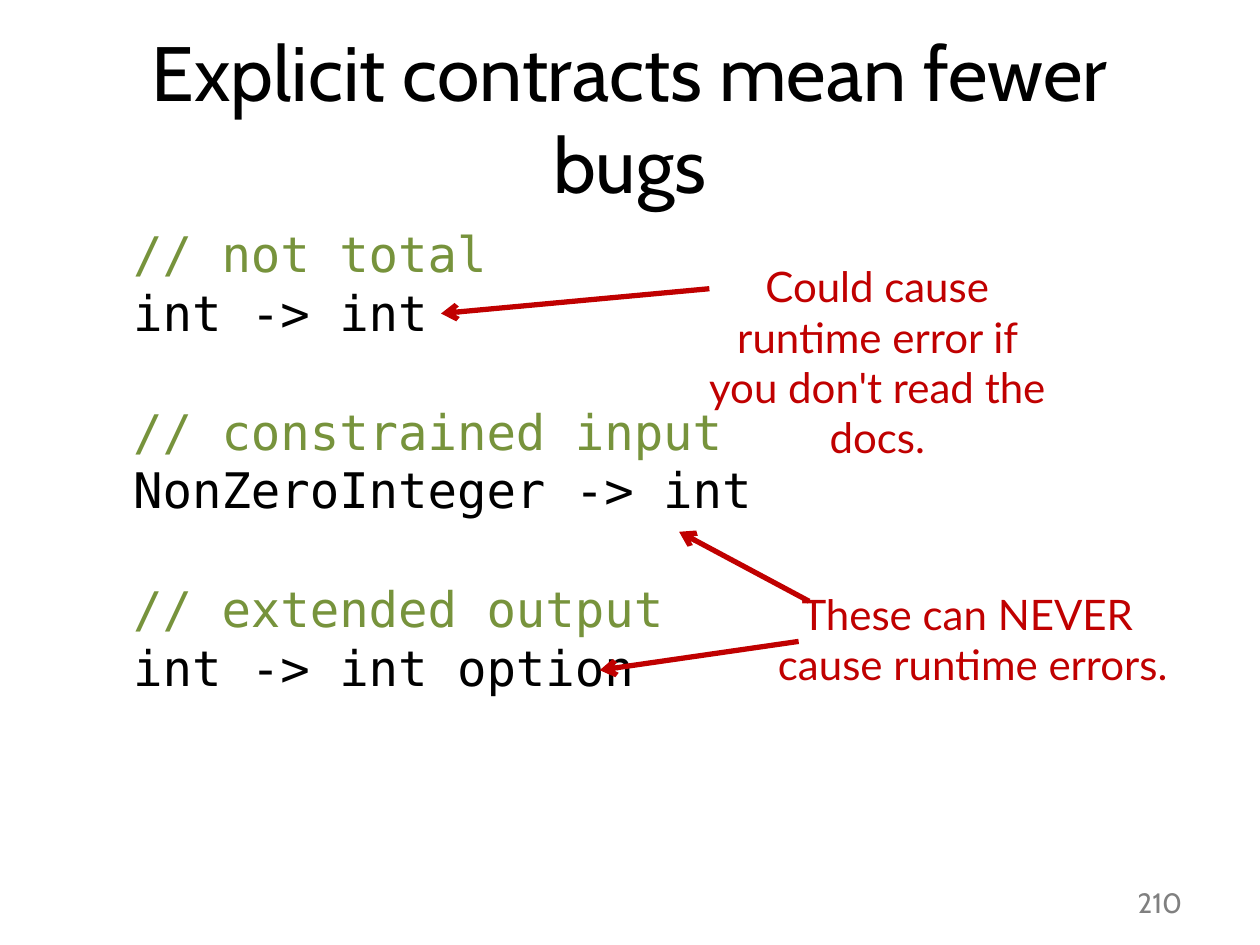
"""Build the slide on explicit contracts in function types."""
from lxml.etree import SubElement
from pptx import Presentation
from pptx.dml.color import RGBColor
from pptx.enum.shapes import MSO_CONNECTOR, MSO_SHAPE
from pptx.enum.text import MSO_ANCHOR, MSO_AUTO_SIZE, PP_ALIGN
from pptx.oxml.ns import qn
from pptx.util import Cm, Pt

RED, GREEN, BLACK, GRAY = "C00000", "77933C", "000000", "808080"

TITLE = ("Explicit contracts mean fewer bugs", (1.27, 0.76, 22.86, 3.18))
PAGE = ("210", (21.49, 17.73, 2.59, 0.94))
CODE = [
    ("// not total", "int -> int"),
    ("// constrained input", "NonZeroInteger -> int"),
    ("// extended output", "int -> int option"),
]
CODE_AT = (2.11, 3.94, 19.81, 11.81)
NOTES = [
    ("Could cause runtime error if you don't read the docs.",
     (13.89, 5.13, 7.59, 3.33)),
    ("These can NEVER \vcause runtime errors.", (14.71, 11.73, 9.8, 2.31)),
]
ARROWS = [
    (14.3, 5.82, 8.89, 6.32),
    (16.31, 12.12, 13.69, 10.72),
    (16.1, 12.93, 12.09, 13.51),
]

FONTS = {
    "title": {"name": "Cabin", "size": Pt(44)},
    "page": {"name": "Cabin", "size": Pt(16)},
    "code": {"name": "DejaVu Sans Mono", "size": Pt(28)},
    "note": {"name": "Lato", "size": Pt(24)},
}
GROW = {"word_wrap": True, "auto_size": MSO_AUTO_SIZE.SHAPE_TO_FIT_TEXT}
FIXED = {"word_wrap": True, "auto_size": MSO_AUTO_SIZE.NONE}
MIDDLE = {**FIXED, "vertical_anchor": MSO_ANCHOR.MIDDLE}
FLUSH = {
    **FIXED, "vertical_anchor": MSO_ANCHOR.TOP, "margin_left": 0,
    "margin_top": 0, "margin_right": 0, "margin_bottom": 0,
}


def tint(hex_):
    return RGBColor.from_string(hex_)


def style(item, values):
    for key, val in values.items():
        setattr(item, key, val)


def write(para, text, kind, color, align, gap=0):
    para.text = text
    style(para, {"alignment": align, "space_before": Pt(gap)})
    style(para.font, FONTS[kind])
    para.font.color.rgb = tint(color)


def add_text(slide, text, at, kind, color, align, frame):
    box = slide.shapes.add_textbox(*map(Cm, at)).text_frame
    style(box, frame)
    write(box.paragraphs[0], text, kind, color, align)


def add_code(slide):
    panel = slide.shapes.add_shape(MSO_SHAPE.ROUNDED_RECTANGLE, *map(Cm, CODE_AT))
    panel.shadow.inherit = False
    panel.fill.background()
    panel.line.fill.background()
    frame = panel.text_frame
    style(frame, FLUSH)
    for num, pair in enumerate(CODE):
        for text, color in zip(pair, (GREEN, BLACK)):
            first = color == GREEN
            para = frame.add_paragraph() if num or not first else frame.paragraphs[0]
            gap = 34 if num and first else 0
            write(para, text, "code", color, PP_ALIGN.LEFT, gap)


def add_arrow(slide, ends):
    arrow = slide.shapes.add_connector(MSO_CONNECTOR.STRAIGHT, *map(Cm, ends))
    arrow.line.width = Pt(3)
    arrow.line.color.rgb = tint(RED)
    SubElement(arrow.line._get_or_add_ln(), qn("a:tailEnd"), type="arrow")
    SubElement(arrow._element.spPr, qn("a:effectLst"))


def main():
    deck = Presentation()
    style(deck, {"slide_width": Cm(25.4), "slide_height": Cm(19.05)})
    slide = deck.slides.add_slide(deck.slide_layouts[6])
    add_text(slide, *PAGE, "page", GRAY, PP_ALIGN.RIGHT, GROW)
    add_code(slide)
    add_text(slide, *TITLE, "title", BLACK, PP_ALIGN.CENTER, MIDDLE)
    for note in NOTES:
        add_text(slide, *note, "note", RED, PP_ALIGN.CENTER, GROW)
    for ends in ARROWS:
        add_arrow(slide, ends)
    deck.save("out.pptx")


if __name__ == "__main__":
    main()
